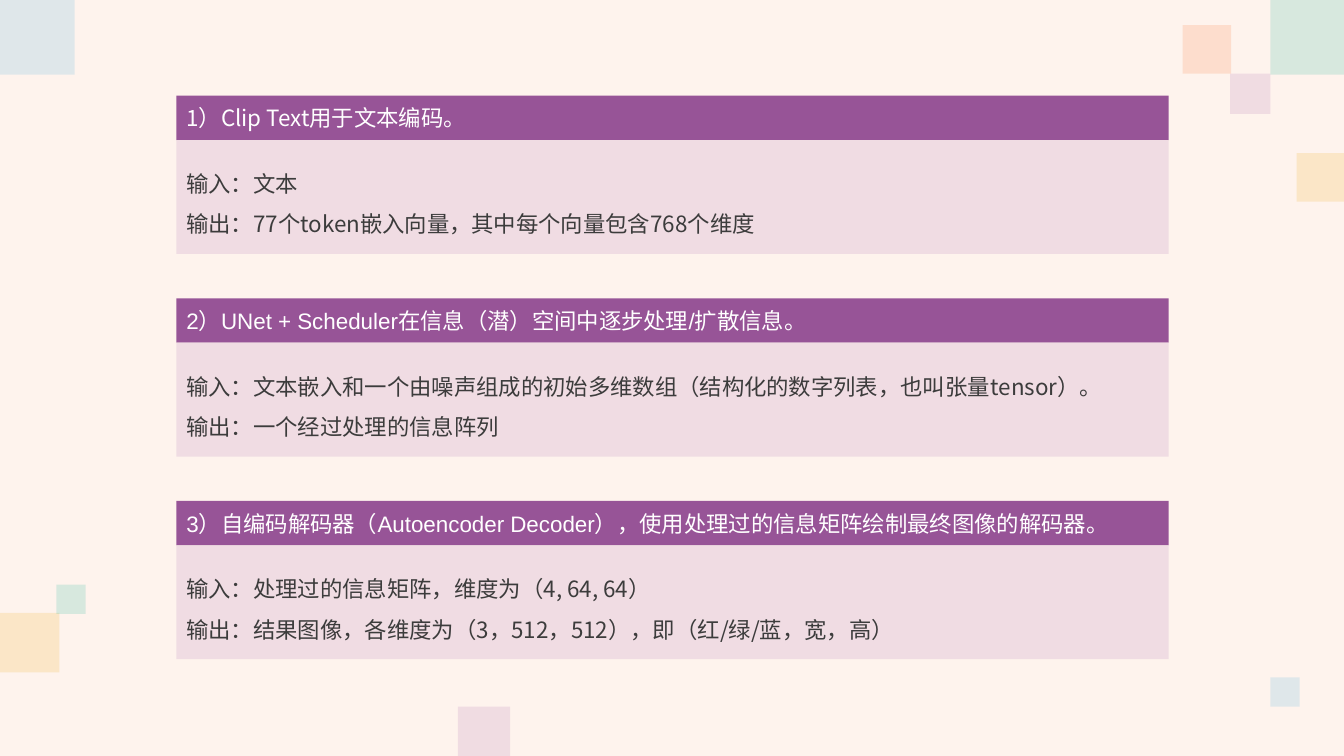
from dataclasses import dataclass

from lxml.etree import SubElement
from pptx import Presentation
from pptx.dml.color import RGBColor
from pptx.enum.lang import MSO_LANGUAGE_ID
from pptx.enum.shapes import MSO_SHAPE
from pptx.enum.text import MSO_ANCHOR, PP_ALIGN
from pptx.oxml.ns import qn
from pptx.shapes.autoshape import Shape
from pptx.slide import Slide
from pptx.util import Inches, Pt

COLORS = {
    "background": "FEF3ED",
    "blue": "63BAE2",
    "yellow": "EFB332",
    "mauve": "B981B9",
    "green": "3DBCA6",
    "orange": "FA874E",
    "purple": "975497",
    "pink": "F0DCE3",
    "white": "FFFFFF",
    "text": "3C3C3C",
}
SLIDE_W, SLIDE_H = 13.33, 7.5
CJK_FONT = "Noto Sans CJK SC"
CARD_LEFT, CARD_TOP, CARD_W = 1.75, 0.95, 9.84
HEADER_H, BODY_H, CARD_PITCH = 0.44, 1.13, 2.01


@dataclass
class Square:
    left: float
    top: float
    size: float
    color: str


@dataclass
class Card:
    title: str
    lines: list[str]
    title_font: str = "Arial"


SQUARES = [
    Square(0, 0, 0.74, "blue"),
    Square(12.86, 1.52, 0.48, "yellow"),
    Square(4.54, 7.01, 0.52, "mauve"),
    Square(0, 6.08, 0.59, "yellow"),
    Square(0.56, 5.8, 0.29, "green"),
    Square(12.2, 0.73, 0.4, "mauve"),
    Square(12.6, 0, 0.74, "green"),
    Square(11.73, 0.25, 0.48, "orange"),
    Square(12.6, 6.72, 0.29, "blue"),
]

CARDS = [
    Card(
        "1）Clip Text用于文本编码。",
        ["输入：文本", "输出：77个token嵌入向量，其中每个向量包含768个维度"],
        CJK_FONT,
    ),
    Card(
        "2）UNet + Scheduler在信息（潜）空间中逐步处理/扩散信息。",
        [
            "输入：文本嵌入和一个由噪声组成的初始多维数组（结构化的数字列表，也叫张量tensor）。",
            "输出：一个经过处理的信息阵列",
        ],
    ),
    Card(
        "3）自编码解码器（Autoencoder Decoder），使用处理过的信息矩阵绘制最终图像的解码器。",
        [
            "输入：处理过的信息矩阵，维度为（4, 64, 64）",
            "输出：结果图像，各维度为（3，512，512），即（红/绿/蓝，宽，高）",
        ],
    ),
]


def rgb(name: str) -> RGBColor:
    return RGBColor.from_string(COLORS[name])


def add_rect(s: Slide, left: float, top: float, width: float, height: float, color: str) -> Shape:
    sp = s.shapes.add_shape(
        MSO_SHAPE.RECTANGLE, Inches(left), Inches(top), Inches(width), Inches(height)
    )
    sp.shadow.inherit = False
    sp.line.fill.background()
    sp.fill.solid()
    sp.fill.fore_color.rgb = rgb(color)
    return sp


def add_square(s: Slide, square: Square) -> None:
    width = min(square.size, SLIDE_W - square.left)
    height = min(square.size, SLIDE_H - square.top)
    sp = add_rect(s, square.left, square.top, width, height, square.color)
    fill_color = sp._element.spPr.find(qn("a:solidFill"))[0]
    SubElement(fill_color, qn("a:alpha"), val="20000")


def write_text(
    sp: Shape,
    lines: list[str],
    *,
    color: str,
    font: str = CJK_FONT,
    size: float = 16,
    spacing: float = 1.0,
) -> None:
    tf = sp.text_frame
    tf.word_wrap = True
    tf.vertical_anchor = MSO_ANCHOR.MIDDLE
    for i, line in enumerate(lines):
        p = tf.paragraphs[0] if i == 0 else tf.add_paragraph()
        p.alignment = PP_ALIGN.LEFT
        p.line_spacing = spacing
        r = p.add_run()
        r.text = line
        r.font.size = Pt(size)
        r.font.color.rgb = rgb(color)
        r.font.name = font
        r.font.language_id = MSO_LANGUAGE_ID.SIMPLIFIED_CHINESE
        SubElement(r._r.get_or_add_rPr(), qn("a:ea"), typeface=CJK_FONT)


def add_card(s: Slide, card: Card, top: float) -> None:
    header = add_rect(s, CARD_LEFT, top, CARD_W, HEADER_H, "purple")
    write_text(header, [card.title], color="white", font=card.title_font)
    body = add_rect(s, CARD_LEFT, top + HEADER_H, CARD_W, BODY_H, "pink")
    write_text(body, card.lines, color="text", spacing=1.5)


def main() -> None:
    prs = Presentation()
    prs.slide_width, prs.slide_height = Inches(SLIDE_W), Inches(SLIDE_H)
    s = prs.slides.add_slide(prs.slide_layouts[6])
    s.background.fill.solid()
    s.background.fill.fore_color.rgb = rgb("background")
    for square in SQUARES:
        add_square(s, square)
    for i, card in enumerate(CARDS):
        add_card(s, card, CARD_TOP + i * CARD_PITCH)
    prs.save("out.pptx")


if __name__ == "__main__":
    main()
